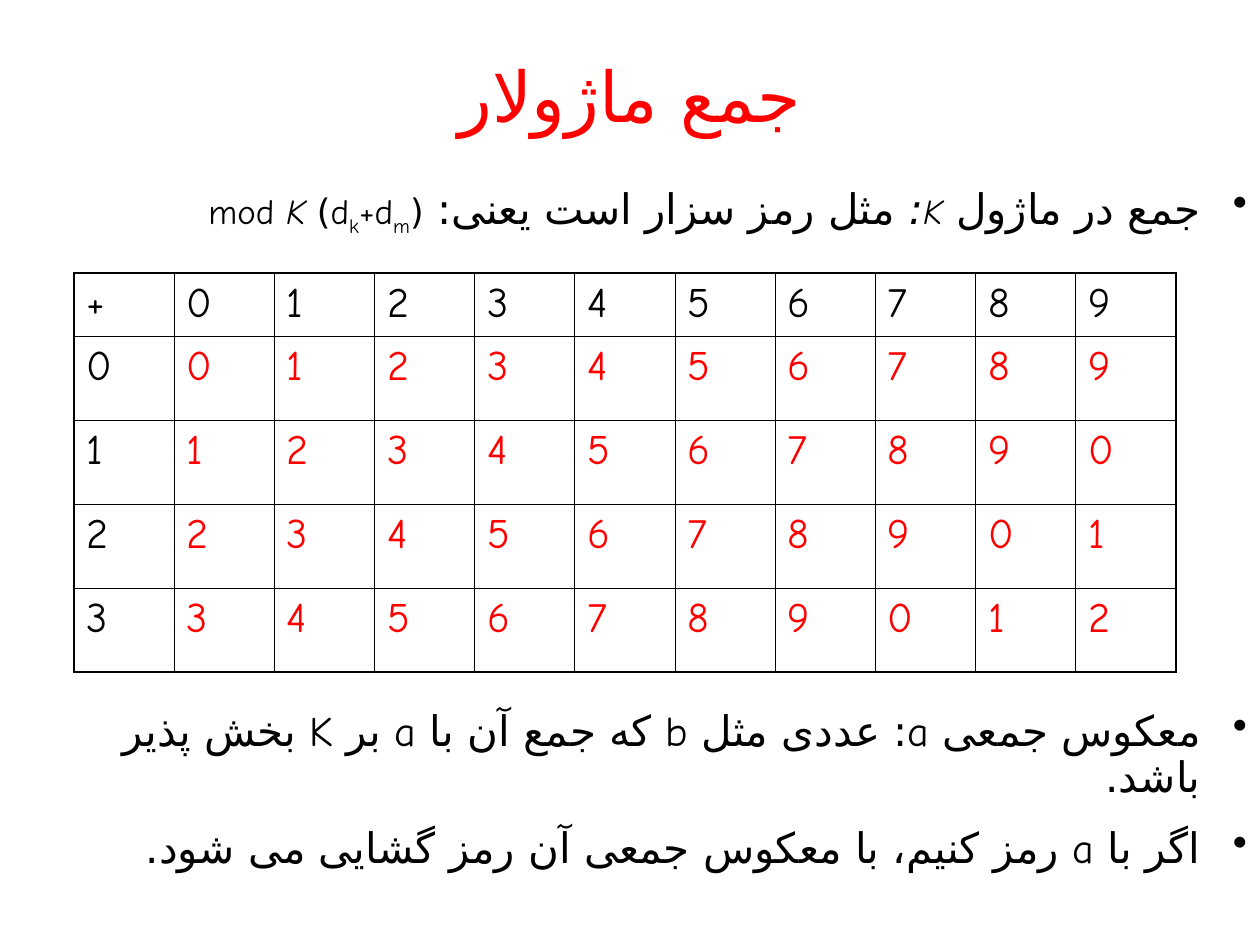
from dataclasses import dataclass

import lxml.etree
import pptx
import pptx.dml.color
import pptx.enum.text
import pptx.oxml.ns
import pptx.util

PX = 914400 / 126
FONT = "Comic Neue"
PERSIAN_FONT = "DejaVu Sans"
BLACK, RED = "000000", "FF0000"
ALIGN = pptx.enum.text.PP_ALIGN
ANCHOR = pptx.enum.text.MSO_ANCHOR


@dataclass
class Box:
    left: int
    top: int
    width: int
    height: int


@dataclass
class Piece:
    text: str
    size: int = 24
    italic: bool = False
    subscript: bool = False


@dataclass
class Bullet:
    pieces: list[Piece]
    space_before: int


def emu(pixels: float) -> int:
    return round(pixels * PX)


def color(value: str) -> pptx.dml.color.RGBColor:
    return pptx.dml.color.RGBColor.from_string(value)


def add_child(parent, tag: str, **attributes: str):
    return lxml.etree.SubElement(parent, pptx.oxml.ns.qn(tag), attributes)


def set_font(paragraph, size: int, value: str) -> None:
    font = paragraph.font
    font.name = FONT
    font.size = pptx.util.Pt(size)
    font.color.rgb = color(value)
    # Persian letters use the complex-script typeface
    add_child(font._element, "a:cs", typeface=PERSIAN_FONT)


def add_text_frame(slide, box: Box, anchor):
    shape = slide.shapes.add_textbox(*map(emu, (box.left, box.top, box.width, box.height)))
    frame = shape.text_frame
    frame.word_wrap = True
    frame.vertical_anchor = anchor
    return frame


def add_title(slide, box: Box, text: str) -> None:
    paragraph = add_text_frame(slide, box, ANCHOR.MIDDLE).paragraphs[0]
    paragraph.text = text
    paragraph.alignment = ALIGN.CENTER
    set_font(paragraph, 40, RED)


def write_bullet(paragraph, bullet: Bullet) -> None:
    properties = paragraph._p.get_or_add_pPr()
    properties.set("rtl", "1")
    properties.set("marL", str(emu(47)))
    properties.set("indent", str(emu(-47)))
    add_child(add_child(properties, "a:buClr"), "a:srgbClr", val=BLACK)
    add_child(properties, "a:buChar", char="•")
    paragraph.alignment = ALIGN.RIGHT
    paragraph.line_spacing = 0.9
    paragraph.space_before = pptx.util.Pt(bullet.space_before)
    paragraph.space_after = pptx.util.Pt(3)
    set_font(paragraph, 24, BLACK)
    for piece in bullet.pieces:
        run = paragraph.add_run()
        run.text = piece.text
        if piece.size != 24:
            run.font.size = pptx.util.Pt(piece.size)
        if piece.italic:
            run.font.italic = True
        if piece.subscript:
            run.font._element.set("baseline", "-25000")


def add_bullets(slide, box: Box, bullets: list[Bullet]) -> None:
    frame = add_text_frame(slide, box, ANCHOR.TOP)
    for index, bullet in enumerate(bullets):
        write_bullet(frame.add_paragraph() if index else frame.paragraphs[0], bullet)


def add_border(cell, side: str, outer: bool) -> None:
    width = pptx.util.Pt(1.08 if outer else 0.45)
    line = add_child(cell._tc.get_or_add_tcPr(), f"a:{side}", w=str(width))
    add_child(add_child(line, "a:solidFill"), "a:srgbClr", val=BLACK)


def add_sum_table(slide, box: Box, row_heights: list[int], modulus: int) -> None:
    rows, columns = len(row_heights), modulus + 1
    table = slide.shapes.add_table(
        rows, columns, *map(emu, (box.left, box.top, box.width, box.height))).table
    table.first_row = table.horz_banding = False
    for column in table.columns:
        column.width = emu(box.width / columns)
    for row, height in zip(table.rows, row_heights):
        row.height = emu(height)
    for i in range(rows):
        for j in range(columns):
            cell = table.cell(i, j)
            # Headers hold the addends, inner cells the sum modulo the modulus
            header = i == 0 or j == 0
            if i == j == 0:
                cell.text = "+"
            elif header:
                cell.text = str(i + j - 1)
            else:
                cell.text = str((i + j - 2) % modulus)
            set_font(cell.text_frame.paragraphs[0], 24, BLACK if header else RED)
            add_border(cell, "lnL", j == 0)
            add_border(cell, "lnR", j == columns - 1)
            add_border(cell, "lnT", i == 0)
            add_border(cell, "lnB", i == rows - 1)
            cell.fill.background()


BULLETS = [
    Bullet([
        Piece("جمع در ماژول "),
        Piece("K", 20, italic=True),
        Piece(": ", italic=True),
        Piece("مثل رمز سزار است یعنی: "),
        Piece("(d", 20),
        Piece("k", 20, subscript=True),
        Piece("+d", 20),
        Piece("m", 20, subscript=True),
        Piece(") mod ", 20),
        Piece("K", 20, italic=True),
    ], 0),
    # The wide gap leaves room for the table
    Bullet([Piece("معکوس جمعی a: عددی مثل b که جمع آن با a بر K بخش پذیر باشد.")], 269),
    Bullet([Piece("اگر با a رمز کنیم، با معکوس جمعی آن رمز گشایی می شود.")], 12),
]


def main() -> None:
    presentation = pptx.Presentation()
    presentation.slide_width = emu(1260)
    presentation.slide_height = emu(945)
    slide = presentation.slides.add_slide(presentation.slide_layouts[6])

    add_title(slide, Box(63, 32, 1134, 126), "جمع ماژولار")
    add_bullets(slide, Box(21, 179, 1239, 735), BULLETS)
    add_sum_table(slide, Box(74, 273, 1102, 399), [63] + [84] * 4, 10)

    presentation.save("out.pptx")


if __name__ == "__main__":
    main()
